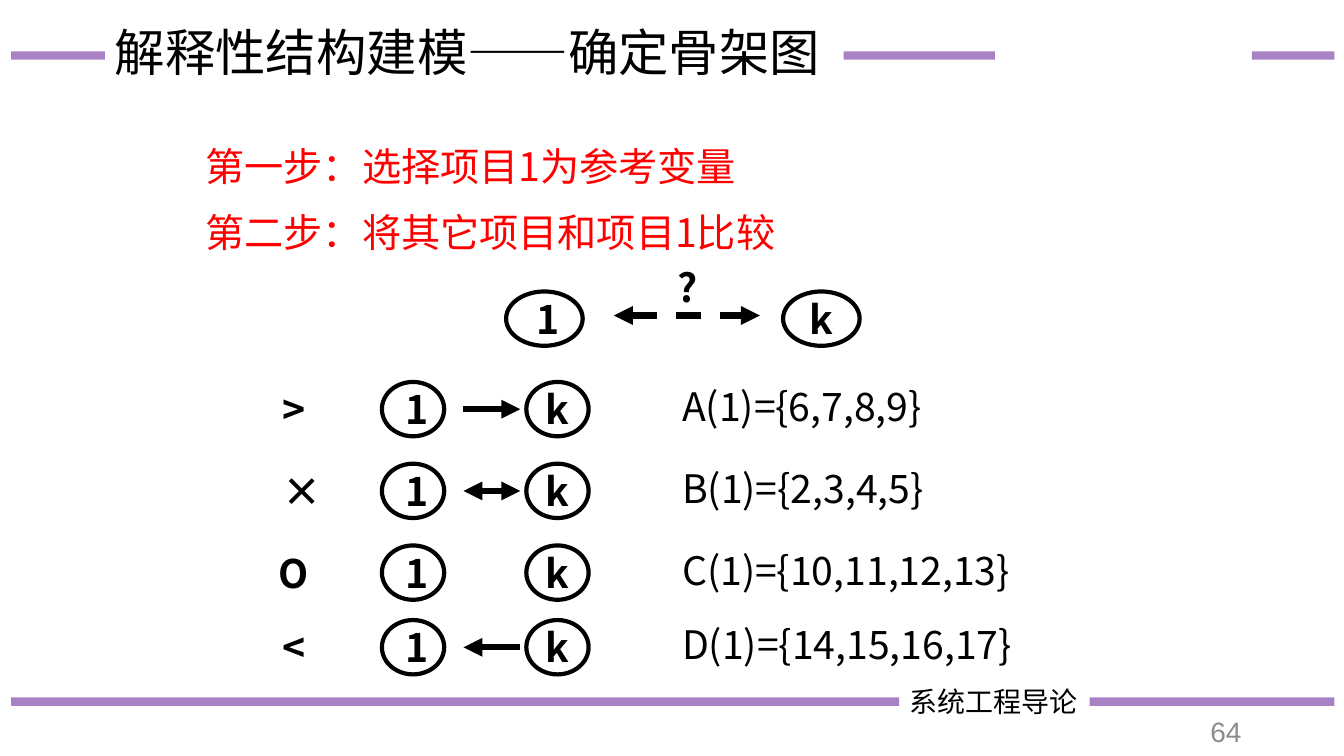
"""Build the slide on finding the skeleton graph in interpretive structural modelling."""
from dataclasses import dataclass

from lxml import etree
from pptx import Presentation
from pptx.dml.color import RGBColor
from pptx.enum import dml, shapes, text
from pptx.oxml import ns
from pptx.util import Cm, Pt

SANS = "Noto Sans CJK SC"
BLACK, RED, GREY, PURPLE = "000000", "FF0000", "8C8C8C", "7030A0"
LEFT, MID, RIGHT = text.PP_ALIGN.LEFT, text.PP_ALIGN.CENTER, text.PP_ALIGN.RIGHT
LINE_H = 1.45


@dataclass
class Label:
    words: str
    left: float
    mid: float
    width: float
    height: float = LINE_H
    size: int = 28
    color: str = BLACK
    bold: bool = False
    align: text.PP_ALIGN = LEFT
    wrap: bool = False
    grow: bool = True
    face: str = SANS
    pitch: float = 1.0


@dataclass
class Arrow:
    start: float
    end: float
    mid: float
    head: bool = False
    tail: bool = False
    color: str = BLACK
    weight: float = 4.5
    dash: bool = False
    alpha: int = 100


@dataclass
class Row:
    sign: str
    width: float
    mid: float
    result: str
    span: float
    head: bool
    tail: bool


BARS = [(0.28, 22.66, 17.68), (27.46, 33.63, 17.68), (0.28, 2.64, 1.4),
        (31.55, 33.63, 1.4), (21.26, 25.07, 1.4)]
LABELS = [
    Label("系统工程导论", 22.66, 17.68, 6.5, 1.12, 20, wrap=True),
    Label("解释性结构建模——确定骨架图", 2.64, 1.38, 18.62, 3.68, 36,
          wrap=True, grow=False, pitch=0.9),
    Label("第一步：选择项目1为参考变量", 4.93, 4.18, 21.39, color=RED, wrap=True),
    Label("第二步：将其它项目和项目1比较", 4.93, 5.85, 21.39, color=RED, wrap=True),
    Label("?", 16.82, 7.23, 1.02, bold=True, align=MID),
    Label("64", 29.69, 18.42, 1.85, 1.02, 20, GREY, align=RIGHT, wrap=True,
          grow=False, face="Arial"),
]
ROWS = [
    Row(">", 1.27, 10.31, "A(1)={6,7,8,9}", 6.93, False, True),
    Row("×", 1.04, 12.37, "B(1)={2,3,4,5}", 6.86, True, True),
    Row("O", 1.32, 14.43, "C(1)={10,11,12,13}", 9.22, False, False),
    Row("<", 1.27, 16.31, "D(1)={14,15,16,17}", 9.32, True, False),
]


def rgb(code: str) -> RGBColor:
    return RGBColor.from_string(code)


def write(tree, label: Label) -> None:
    box = tree.add_textbox(Cm(label.left), Cm(label.mid - label.height / 2),
                           Cm(label.width), Cm(label.height))
    frame = box.text_frame
    frame.word_wrap = label.wrap
    frame.auto_size = (text.MSO_AUTO_SIZE.SHAPE_TO_FIT_TEXT if label.grow
                       else text.MSO_AUTO_SIZE.NONE)
    frame.vertical_anchor = text.MSO_ANCHOR.MIDDLE
    para = frame.paragraphs[0]
    para.text = label.words
    para.alignment = label.align
    para.line_spacing = label.pitch
    font = para.font
    font.size, font.bold, font.name = Pt(label.size), label.bold, label.face
    font.color.rgb = rgb(label.color)
    props = para._p.pPr.find(ns.qn("a:defRPr"))
    etree.SubElement(props, ns.qn("a:ea"), typeface=label.face)


def draw(tree, arrow: Arrow) -> None:
    link = tree.add_connector(shapes.MSO_CONNECTOR.STRAIGHT, Cm(arrow.start),
                              Cm(arrow.mid), Cm(arrow.end), Cm(arrow.mid))
    link.line.width = Pt(arrow.weight)
    link.line.color.rgb = rgb(arrow.color)
    if arrow.dash:
        link.line.dash_style = dml.MSO_LINE.DASH
    props = link._element.spPr
    line = props.find(ns.qn("a:ln"))
    if arrow.alpha < 100:
        tint = line.find(".//" + ns.qn("a:srgbClr"))
        etree.SubElement(tint, ns.qn("a:alpha"), val=str(arrow.alpha * 1000))
    for tag, shown in (("a:headEnd", arrow.head), ("a:tailEnd", arrow.tail)):
        if shown:
            etree.SubElement(line, ns.qn(tag), type="triangle")
    etree.SubElement(props, ns.qn("a:effectLst"))


def node(tree, name: str, x: float, y: float, width: float, shift: float) -> None:
    high = 1.37
    oval = tree.add_shape(shapes.MSO_SHAPE.OVAL, Cm(x - width / 2),
                          Cm(y - high / 2), Cm(width), Cm(high))
    oval.shadow.inherit = False
    oval.fill.background()
    oval.line.color.rgb = rgb(BLACK)
    oval.line.width = Pt(3)
    span = 1.12
    write(tree, Label(name, x + shift - span / 2, y, span, bold=True, align=MID))


def pair(tree, one: float, other: float, y: float, width: float) -> None:
    node(tree, "1", one, y, width, 0.1)
    node(tree, "k", other, y, width, 0)


def main() -> None:
    deck = Presentation()
    deck.slide_width, deck.slide_height = Cm(33.87), Cm(19.05)
    tree = deck.slides.add_slide(deck.slide_layouts[6]).shapes
    for start, end, mid in BARS:
        draw(tree, Arrow(start, end, mid, color=PURPLE, weight=6, alpha=60))
    for label in LABELS:
        write(tree, label)
    draw(tree, Arrow(15.47, 19.15, 7.95, True, True, dash=True))
    pair(tree, 13.72, 20.7, 8.03, 1.93)
    for row in ROWS:
        write(tree, Label(row.sign, 7.4 - row.width / 2, row.mid, row.width,
                          bold=True, align=MID))
        pair(tree, 10.41, 14.05, row.mid, 1.57)
        if row.head or row.tail:
            draw(tree, Arrow(11.68, 13.11, row.mid, row.head, row.tail))
        write(tree, Label(row.result, 16.94, row.mid - 0.08, row.span))
    deck.save("out.pptx")


if __name__ == "__main__":
    main()
